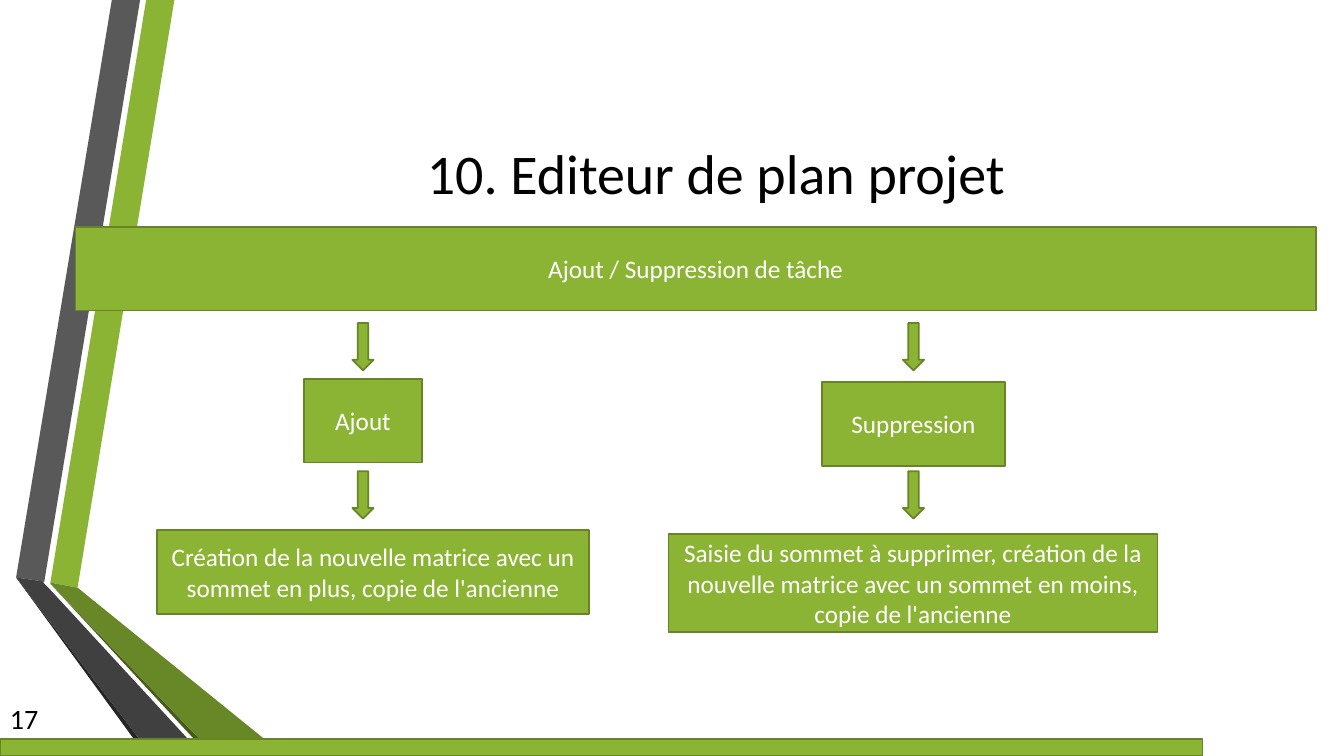
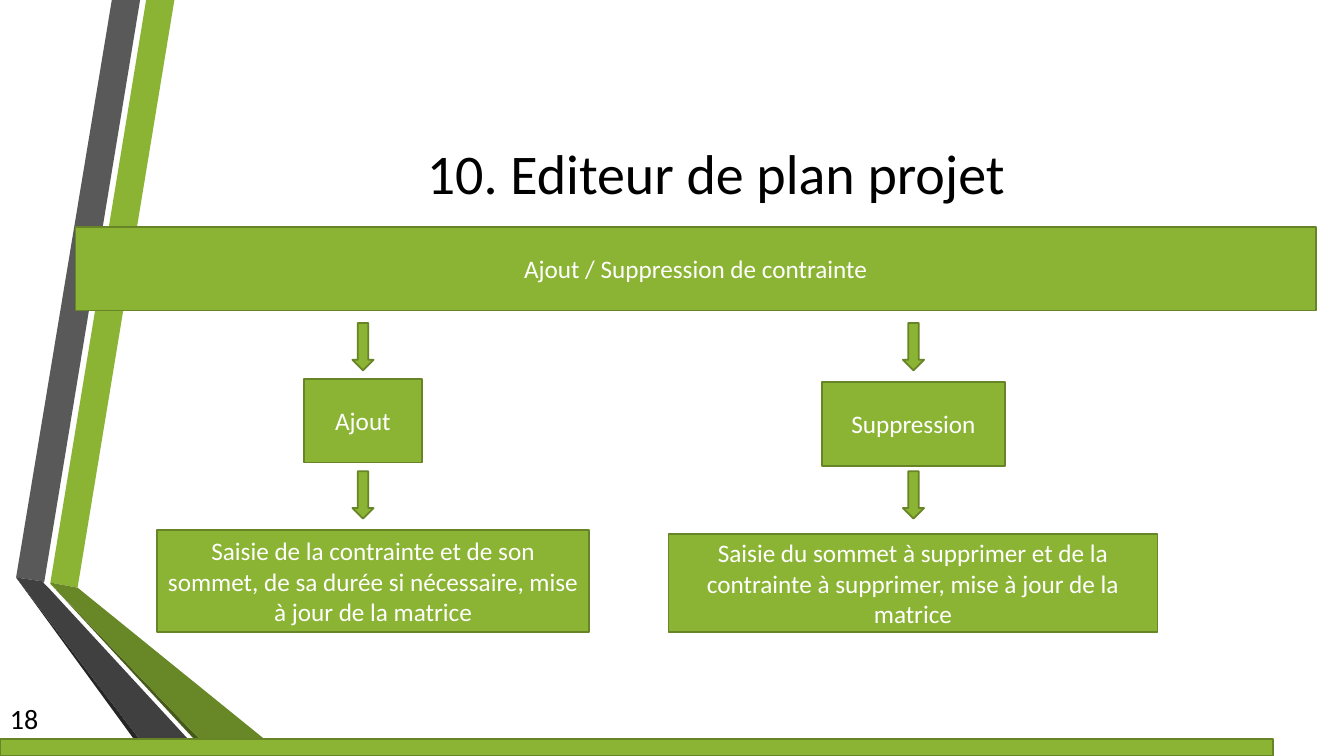
from pptx import Presentation
from pptx.dml.color import RGBColor
from pptx.enum.shapes import MSO_SHAPE as Shape
from pptx.enum.text import MSO_ANCHOR as Anchor, PP_ALIGN as Align
from pptx.util import Inches, Pt

WIDTH, HEIGHT = 13.33, 7.5
GREEN, OUTLINE, BLACK, WHITE = "8BB434", "678526", "000000", "FFFFFF"
FONT = "Calibri"
TITLE = "10. Editeur de plan projet"
FIRST_PAGE, PAGE_COUNT = 17, 19

SLIDES = [
    {
        "topic": "Ajout / Suppression de tâche",
        "details": [
            ("Création de la nouvelle matrice avec un sommet en plus, copie de l'ancienne", 0.83),
            ("Saisie du sommet à supprimer, création de la nouvelle matrice avec un sommet en moins, "
             "copie de l'ancienne", 0.97),
        ],
    },
    {
        "topic": "Ajout / Suppression de contrainte",
        "details": [
            ("Saisie de la contrainte et de son sommet, de sa durée si nécessaire, mise à jour de la matrice", 1.01),
            ("Saisie du sommet à supprimer et de la contrainte à supprimer, mise à jour de la matrice", 0.97),
        ],
    },
]

BRANCHES = [
    {"name": "Ajout", "center": 3.6, "name_top": 3.76, "name_width": 1.17,
     "detail_left": 1.56, "detail_top": 5.26, "detail_width": 4.28},
    {"name": "Suppression", "center": 9.06, "name_top": 3.79, "name_width": 1.81,
     "detail_left": 6.63, "detail_top": 5.3, "detail_width": 4.85},
]
BOX_HEIGHT = 0.83
ARROW_LENGTH, ARROW_WIDTH = 0.47, 0.21
ARROW_CENTERS = [3.44, 4.91]
BAR_HEIGHT = 0.17

RIBBONS = [
    (GREEN, [(50, 578), (77, 583), (173, 0), (145, 0)]),
    ("595959", [(139, 0), (111, 0), (16, 573), (44, 577)]),
    ("262626", [(16, 573), (145, 750), (151, 750)]),
    ("465A1A", [(50, 579), (208, 750), (214, 750)]),
    ("688727", [(50, 579), (214, 750), (283, 750), (77, 583), (50, 578)]),
    ("404040", [(202, 750), (48, 583), (43, 578), (44, 577), (16, 573), (151, 750)]),
]


def color(value):
    return RGBColor.from_string(value)


def write(shape, text, size, text_color, align):
    frame = shape.text_frame
    frame.text = text
    frame.word_wrap = True
    frame.vertical_anchor = Anchor.MIDDLE
    para = frame.paragraphs[0]
    para.alignment = align
    font = para.runs[0].font
    font.size, font.name = Pt(size), FONT
    font.color.rgb = color(text_color)


def add_block(page, kind, left, top, width, height, text=None):
    block = page.shapes.add_shape(kind, Inches(left), Inches(top), Inches(width), Inches(height))
    block.shadow.inherit = False
    block.fill.solid()
    block.fill.fore_color.rgb = color(GREEN)
    block.line.color.rgb = color(OUTLINE)
    block.line.width = Pt(1.25)
    if text:
        write(block, text, 18, WHITE, Align.CENTER)
    return block


def add_ribbons(page):
    for fill, points in RIBBONS:
        builder = page.shapes.build_freeform(*points[0], scale=Inches(1) / 100)
        builder.add_line_segments(points[1:], close=True)
        ribbon = builder.convert_to_shape()
        ribbon.shadow.inherit = False
        ribbon.fill.solid()
        ribbon.fill.fore_color.rgb = color(fill)
        ribbon.line.fill.background()


def add_title(page):
    title = page.shapes.title
    title.left, title.top, title.width, title.height = map(Inches, (1.62, 0.75, 10.96, 1.92))
    write(title, TITLE, 40, BLACK, Align.CENTER)


def add_branch(page, branch, detail, detail_height):
    center = branch["center"]
    for middle in ARROW_CENTERS:
        arrow = add_block(page, Shape.RIGHT_ARROW, center - ARROW_LENGTH / 2,
                          middle - ARROW_WIDTH / 2, ARROW_LENGTH, ARROW_WIDTH)
        arrow.rotation = 90
    width = branch["name_width"]
    add_block(page, Shape.FLOWCHART_PROCESS, center - width / 2, branch["name_top"],
              width, BOX_HEIGHT, branch["name"])
    add_block(page, Shape.FLOWCHART_PROCESS, branch["detail_left"], branch["detail_top"],
              branch["detail_width"], detail_height, detail)


def add_footer(page, number):
    box = page.shapes.add_textbox(0, Inches(6.93), Inches(0.6), Inches(0.4))
    write(box, str(number), 20, BLACK, Align.LEFT)
    add_block(page, Shape.RECTANGLE, 0, HEIGHT - BAR_HEIGHT, WIDTH * number / PAGE_COUNT, BAR_HEIGHT)


deck = Presentation()
deck.slide_width, deck.slide_height = Inches(WIDTH), Inches(HEIGHT)
for number, content in enumerate(SLIDES, FIRST_PAGE):
    page = deck.slides.add_slide(deck.slide_layouts[5])
    add_ribbons(page)
    add_title(page)
    add_block(page, Shape.FLOWCHART_PROCESS, 0.75, 2.25, 12.3, BOX_HEIGHT, content["topic"])
    for branch, (detail, detail_height) in zip(BRANCHES, content["details"]):
        add_branch(page, branch, detail, detail_height)
    add_footer(page, number)
deck.save("out.pptx")
